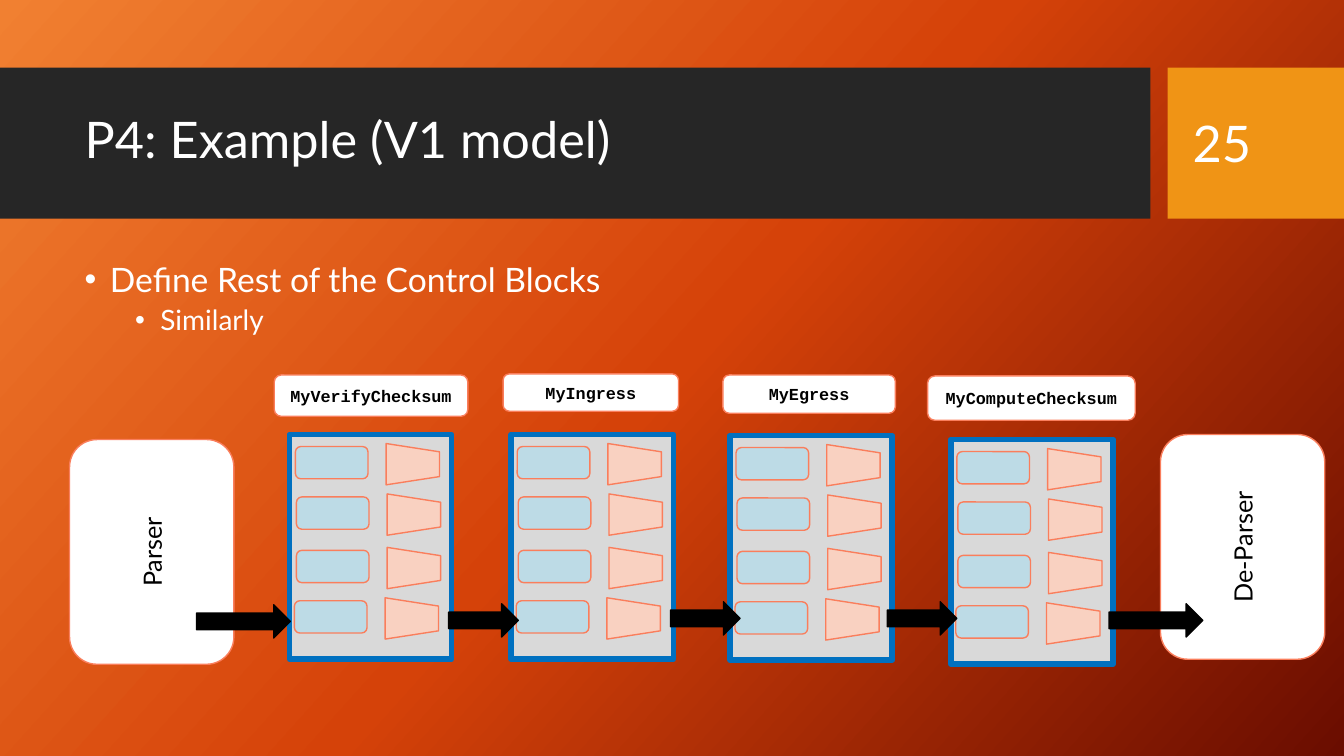
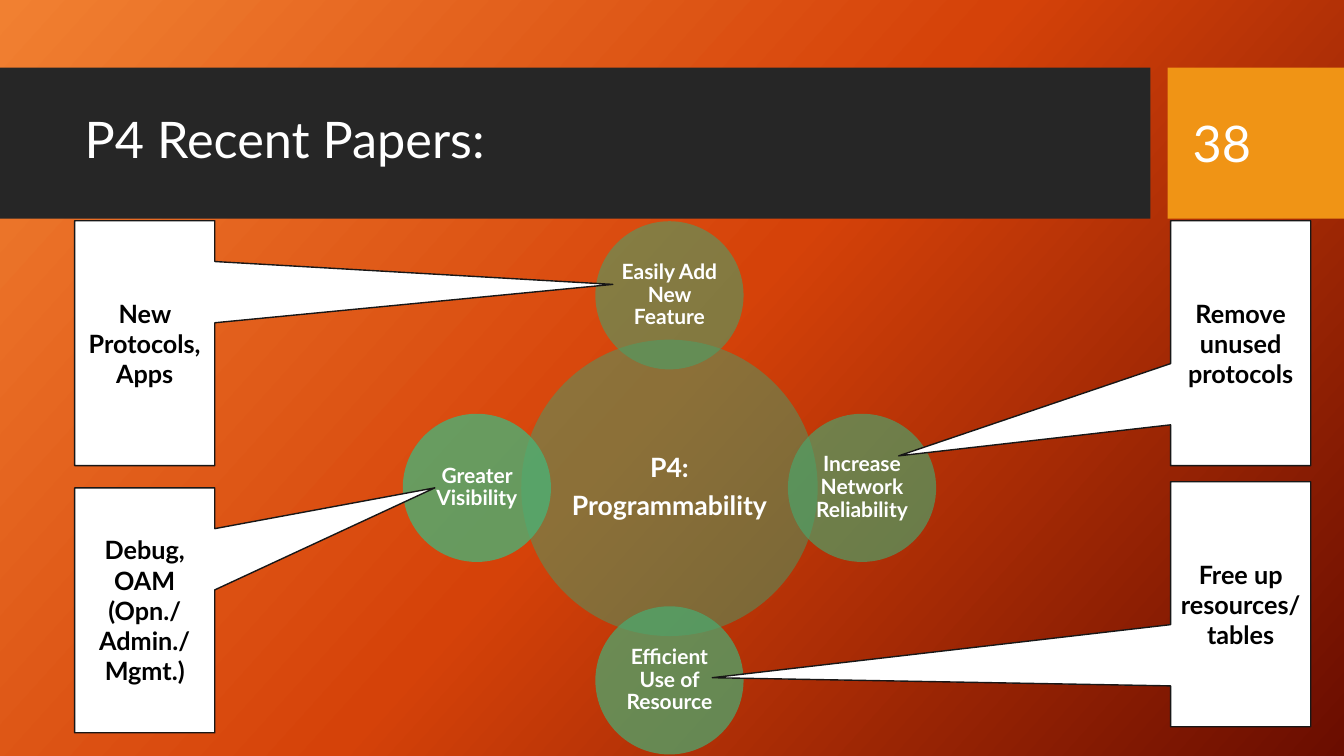
from copy import deepcopy
from dataclasses import dataclass
from math import cos, radians, sin
from typing import NamedTuple

from pptx import Presentation
from pptx.dml.color import RGBColor
from pptx.enum.shapes import MSO_SHAPE as Preset
from pptx.enum.text import MSO_ANCHOR as Anchor, MSO_AUTO_SIZE as AutoSize, PP_ALIGN as Align
from pptx.oxml.ns import qn
from pptx.oxml.xmlchemy import OxmlElement
from pptx.presentation import Presentation as Deck
from pptx.shapes.autoshape import Shape
from pptx.slide import Slide
from pptx.text.text import TextFrame
from pptx.util import Inches, Pt


@dataclass(frozen=True)
class Theme:
    gradient: tuple = ((0, "F18031"), (0.5, "D54209"), (1, "6A0D00"))
    gradient_angle: int = 318
    band: str = "262626"
    number_band: str = "F09415"
    light: str = "FFFFFF"
    dark: str = "000000"
    coral: str = "FA7E5C"
    stage_fill: str = "D9D9D9"
    stage_line: str = "0070C0"
    table_fill: str = "BDDBE6"
    selector_fill: str = "F9D1C1"
    callout_line: str = "181717"
    font: str = "Lato"
    code_font: str = "Courier New"
    title_size: int = 36
    body_sizes: tuple = (24, 20)
    hub_size: int = 19
    satellite_size: int = 15
    label_size: int = 18
    code_size: int = 12


THEME = Theme()


class Box(NamedTuple):
    left: float
    top: float
    width: float
    height: float

    def lengths(self) -> list[int]:
        return [Inches(value) for value in self]


class Stage(NamedTuple):
    left: float
    top: float
    name: str
    label: Box


class Bubble(NamedTuple):
    text: str
    angle: int
    color: str
    opacity: int


class Callout(NamedTuple):
    box: Box
    tip: tuple[float, float]
    text: str


TITLE_BOX = Box(0.74, 0.82, 10.51, 1.18)
NUMBER_BOX = Box(11.73, 0.82, 1.26, 1.19)
BODY_BOX = Box(0.74, 2.56, 5.92, 3.94)
BANDS = (
    (Box(0, 0.67, 11.41, 1.5), THEME.band),
    (Box(11.58, 0.67, 1.75, 1.5), THEME.number_band),
)

PARSERS = (("Parser", Box(0.39, 4.66, 2.23, 1.63)), ("De-Parser", Box(11.21, 4.61, 2.23, 1.63)))
STAGES = (
    Stage(2.87, 4.31, "MyVerifyChecksum", Box(2.72, 3.72, 1.92, 0.41)),
    Stage(5.07, 4.31, "MyIngress", Box(4.99, 3.71, 1.74, 0.37)),
    Stage(7.24, 4.32, "MyEgress", Box(7.17, 3.72, 1.71, 0.38)),
    Stage(9.43, 4.36, "MyComputeChecksum", Box(9.2, 3.73, 2.06, 0.44)),
)
TABLE_OFFSETS = ((0.06, 0.12), (0.07, 0.62), (0.07, 1.15), (0.05, 1.65))
ARROWS = (
    Box(1.95, 6, 0.93, 0.33),
    Box(4.45, 5.99, 0.69, 0.33),
    Box(6.65, 5.97, 0.69, 0.33),
    Box(8.8, 5.97, 0.69, 0.33),
    Box(11, 5.99, 0.93, 0.33),
)

HUB_CENTER = (6.64, 4.84)
HUB_SIZE, SATELLITE_SIZE, ORBIT = 2.94, 1.47, 1.91
HUB = Bubble("P4:\nProgrammability", 0, "449F68", 50)
SATELLITES = (
    Bubble("Easily Add New Feature", -90, "46A36B", 57),
    Bubble("Increase Network Reliability", 0, "48A76E", 65),
    Bubble("Efficient Use of Resource", 90, "4AAB71", 72),
    Bubble("Greater Visibility", 180, "4CB074", 80),
)
CALLOUTS = (
    Callout(Box(0.74, 2.19, 1.39, 2.43), (3.34, -0.24), "New Protocols, Apps"),
    Callout(Box(11.61, 2.19, 1.39, 2.43), (-2.44, 0.46), "Remove unused protocols"),
    Callout(Box(11.61, 4.78, 1.39, 2.43), (-3.77, 0.3), "Free up resources/ tables"),
    Callout(Box(0.74, 4.84, 1.39, 2.43), (2.07, -0.5), "Debug, OAM\n(Opn./ Admin./ Mgmt.)"),
)


def rgb(color: str) -> RGBColor:
    return RGBColor.from_string(color)


def write(frame: TextFrame, text: str, size: int, color: str = THEME.light,
          font: str = THEME.font, bold: bool = False, align: Align = Align.CENTER) -> None:
    """Fill a frame with one paragraph per line, centred vertically."""
    frame.text = text
    frame.word_wrap = True
    frame.vertical_anchor = Anchor.MIDDLE
    for paragraph in frame.paragraphs:
        paragraph.alignment = align
        paragraph.font.name = font
        paragraph.font.size = Pt(size)
        paragraph.font.bold = bold
        paragraph.font.color.rgb = rgb(color)


def add_preset(shapes, preset: Preset, box: Box, fill: str, line: str | None = None,
               weight: float = 1, rotation: int = 0) -> Shape:
    shape = shapes.add_shape(preset, *box.lengths())
    shape.shadow.inherit = False
    shape.rotation = rotation
    shape.fill.solid()
    shape.fill.fore_color.rgb = rgb(fill)
    if line:
        shape.line.color.rgb = rgb(line)
        shape.line.width = Pt(weight)
    else:
        shape.line.fill.background()
    return shape


def set_opacity(shape: Shape, percent: int) -> None:
    alpha = OxmlElement("a:alpha")
    alpha.set("val", str(percent * 1000))
    shape.element.spPr.find(qn("a:solidFill"))[0].append(alpha)


def set_bullet(paragraph, left: float, hanging: float = 0.25) -> None:
    properties = paragraph._p.get_or_add_pPr()
    properties.set("marL", str(Inches(left)))
    properties.set("indent", str(-Inches(hanging)))
    bullet = OxmlElement("a:buChar")
    bullet.set("char", "•")
    properties.append(bullet)


def paint_background(deck: Deck) -> None:
    master = deck.slide_master
    fill = master.background.fill
    fill.gradient()
    fill.gradient_angle = THEME.gradient_angle
    stop_list = master.element.find(".//" + qn("a:gsLst"))
    stop_list.append(deepcopy(stop_list[-1]))
    for stop, (position, color) in zip(fill.gradient_stops, THEME.gradient):
        stop.position = position
        stop.color.rgb = rgb(color)


def add_master_bands(deck: Deck, page: Slide) -> None:
    """Draw the bands on a page, then move them behind everything on the master."""
    tree = deck.slide_master.shapes.element
    for index, (box, color) in enumerate(BANDS):
        band = add_preset(page.shapes, Preset.RECTANGLE, box, color)
        band.element.nvSpPr.cNvPr.set("id", str(101 + index))
        tree.insert(2 + index, band.element)


def place(shape, box: Box) -> None:
    shape.left, shape.top, shape.width, shape.height = box.lengths()


def add_page(deck: Deck, layout: int, title: str, number: int) -> Slide:
    page = deck.slides.add_slide(deck.slide_layouts[layout])
    heading = page.shapes.title
    place(heading, TITLE_BOX)
    write(heading.text_frame, title, THEME.title_size, align=Align.LEFT)
    heading.text_frame.auto_size = AutoSize.NONE
    heading.text_frame.paragraphs[0].line_spacing = 0.9
    number_box = page.shapes.add_textbox(*NUMBER_BOX.lengths())
    write(number_box.text_frame, str(number), THEME.title_size, align=Align.LEFT)
    return page


def add_bullets(page: Slide, lines: list[tuple[int, str]]) -> None:
    body = page.placeholders[1]
    place(body, BODY_BOX)
    frame = body.text_frame
    write(frame, "\n".join(text for _, text in lines), THEME.body_sizes[0], align=Align.LEFT)
    frame.vertical_anchor = Anchor.TOP
    frame.auto_size = AutoSize.NONE
    for paragraph, (level, _) in zip(frame.paragraphs, lines):
        paragraph.level = level
        paragraph.font.size = Pt(THEME.body_sizes[level])
        paragraph.line_spacing = 0.9
        paragraph.space_before = Pt((10, 5)[level])
        set_bullet(paragraph, 0.25 + 0.5 * level)


def add_stage(page: Slide, stage: Stage) -> None:
    """Draw a control block: four tables, each with its selector, and a name label."""
    shapes = page.shapes.add_group_shape().shapes
    add_preset(shapes, Preset.RECTANGLE, Box(stage.left, stage.top, 1.61, 2.23),
               THEME.stage_fill, THEME.stage_line, 4)
    for across, down in TABLE_OFFSETS:
        left, top = stage.left + across, stage.top + down
        add_preset(shapes, Preset.ROUNDED_RECTANGLE, Box(left, top, 0.72, 0.32),
                   THEME.table_fill, THEME.coral)
        add_preset(shapes, Preset.FLOWCHART_MANUAL_OPERATION,
                   Box(left + 0.96, top - 0.09, 0.41, 0.53),
                   THEME.selector_fill, THEME.coral, rotation=270)
    label = add_preset(page.shapes, Preset.ROUNDED_RECTANGLE, stage.label, THEME.light, THEME.coral)
    write(label.text_frame, stage.name, THEME.code_size, THEME.dark, THEME.code_font, bold=True)


def add_bubble(shapes, bubble: Bubble, diameter: float, orbit: float,
               size: int, inset: float) -> None:
    angle = radians(bubble.angle)
    left = HUB_CENTER[0] + orbit * cos(angle) - diameter / 2
    top = HUB_CENTER[1] + orbit * sin(angle) - diameter / 2
    circle = add_preset(shapes, Preset.OVAL, Box(left, top, diameter, diameter), bubble.color)
    set_opacity(circle, bubble.opacity)
    frame = circle.text_frame
    frame.margin_left = frame.margin_right = frame.margin_top = frame.margin_bottom = Inches(inset)
    write(frame, bubble.text, size, bold=True)
    for paragraph in frame.paragraphs:
        paragraph.line_spacing = 0.9
        paragraph.space_after = Pt(0.35 * size)


def add_callout(page: Slide, callout: Callout) -> None:
    shape = add_preset(page.shapes, Preset.RECTANGULAR_CALLOUT, callout.box,
                       THEME.light, THEME.callout_line)
    for index, value in enumerate(callout.tip):
        shape.adjustments[index] = value
    write(shape.text_frame, callout.text, THEME.label_size, THEME.dark, bold=True)


def build_pipeline_page(deck: Deck) -> Slide:
    page = add_page(deck, 1, "P4: Example (V1 model)", 25)
    add_bullets(page, [(0, "Define Rest of the Control Blocks"), (1, "Similarly")])
    for name, box in PARSERS:
        parser = add_preset(page.shapes, Preset.ROUNDED_RECTANGLE, box,
                            THEME.light, THEME.coral, rotation=270)
        write(parser.text_frame, name, THEME.label_size, THEME.dark)
    for stage in STAGES:
        add_stage(page, stage)
    for box in ARROWS:
        add_preset(page.shapes, Preset.RIGHT_ARROW, box, THEME.dark, THEME.dark)
    return page


def build_papers_page(deck: Deck) -> None:
    page = add_page(deck, 5, "P4 Recent Papers:", 38)
    shapes = page.shapes.add_group_shape().shapes
    add_bubble(shapes, HUB, HUB_SIZE, 0, THEME.hub_size, 0.03)
    for satellite in SATELLITES:
        add_bubble(shapes, satellite, SATELLITE_SIZE, ORBIT, THEME.satellite_size, 0.02)
    for callout in CALLOUTS:
        add_callout(page, callout)


def main() -> None:
    deck = Presentation()
    deck.slide_width, deck.slide_height = Inches(13.33), Inches(7.5)
    paint_background(deck)
    add_master_bands(deck, build_pipeline_page(deck))
    build_papers_page(deck)
    deck.save("out.pptx")


if __name__ == "__main__":
    main()
